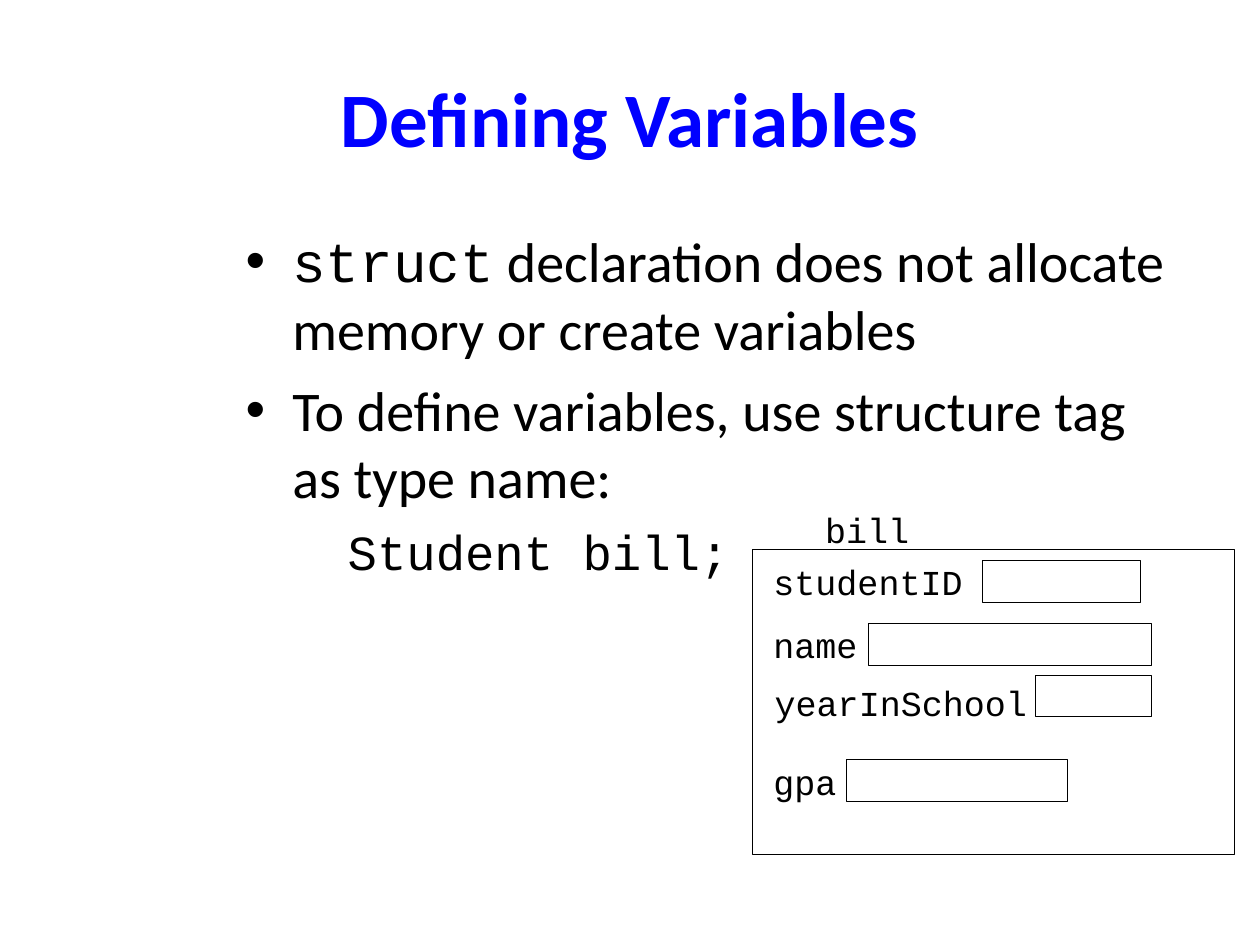
from pptx import Presentation
from pptx.dml.color import RGBColor
from pptx.enum.shapes import MSO_SHAPE
from pptx.enum.text import MSO_ANCHOR, MSO_AUTO_SIZE, PP_ALIGN
from pptx.oxml import parse_xml
from pptx.oxml.ns import nsdecls
from pptx.util import Inches, Pt

RECTANGLE = MSO_SHAPE.RECTANGLE
CENTER, LEFT = PP_ALIGN.CENTER, PP_ALIGN.LEFT
MIDDLE, TOP = MSO_ANCHOR.MIDDLE, MSO_ANCHOR.TOP
GROW = MSO_AUTO_SIZE.SHAPE_TO_FIT_TEXT
COLORS = {"title": "0000FF", "ink": "000000"}
PROSE, CODE = "Calibri", "Courier New"
LABEL_HEIGHT, FIELD_HEIGHT = 0.44, 0.33

# Field name, label offset (x, y), label width, value box offset (x, y), value box width
STUDENT_FIELDS = [
    ("studentID", (0.07, 0.04), 1.7, (1.83, 0.09), 1.25),
    ("name", (0.07, 0.54), 0.87, (0.92, 0.59), 2.25),
    ("yearInSchool", (0.08, 1.0), 2.22, (2.25, 1.0), 0.92),
    ("gpa", (0.07, 1.63), 0.7, (0.75, 1.67), 1.75),
]


def place(shape, left, top, width, height):
    shape.left, shape.top = Inches(left), Inches(top)
    shape.width, shape.height = Inches(width), Inches(height)


def add_span(para, text, font=PROSE, size=32, color="ink", bold=False):
    span = para.add_run()
    span.text = text
    span.font.name = font
    span.font.size = Pt(size)
    span.font.bold = bold
    span.font.color.rgb = RGBColor.from_string(COLORS[color])


def set_bullet(para, margin, indent, bullet=None):
    """Set the hanging indent in inches, with a bullet or none."""
    properties = para._p.get_or_add_pPr()
    properties.set("marL", str(Inches(margin)))
    properties.set("indent", str(Inches(indent)))
    if bullet:
        parts = [
            f'<a:buClr {nsdecls("a")}><a:srgbClr val="{COLORS["ink"]}"/></a:buClr>',
            f'<a:buFont {nsdecls("a")} typeface="Arial"/>',
            f'<a:buChar {nsdecls("a")} char="{bullet}"/>',
        ]
    else:
        parts = [f'<a:buNone {nsdecls("a")}/>']
    for part in parts:
        properties.append(parse_xml(part))


def fill_title(title, box):
    place(title, *box)
    title.text_frame.vertical_anchor = MIDDLE
    para = title.text_frame.paragraphs[0]
    para.alignment = CENTER
    add_span(para, "Defining Variables", size=44, color="title", bold=True)


def fill_body(body, box):
    place(body, *box)
    frame = body.text_frame
    frame.vertical_anchor = TOP
    first = frame.paragraphs[0]
    second, example = frame.add_paragraph(), frame.add_paragraph()
    example.level = 1
    for para, space in ((first, 0), (second, 8), (example, 7)):
        para.alignment = LEFT
        para.space_before = Pt(space)
    for para in (first, second):
        set_bullet(para, 0.37, -0.37, "•")
    set_bullet(example, 0.81, -0.31)
    add_span(first, "struct", font=CODE)
    add_span(first, " declaration does not allocate memory or create variables")
    add_span(second, "To define variables, use structure tag as type name:")
    add_span(example, "\tStudent bill;", font=CODE, size=28)


def add_outline(page, *box):
    shape = page.shapes.add_shape(RECTANGLE, *map(Inches, box))
    shape.shadow.inherit = False
    shape.fill.background()
    shape.line.color.rgb = RGBColor.from_string(COLORS["ink"])
    shape.line.width = Pt(0.75)


def add_label(page, text, left, top, width):
    label = page.shapes.add_textbox(*map(Inches, (left, top, width, LABEL_HEIGHT)))
    label.text_frame.word_wrap = False
    label.text_frame.auto_size = GROW
    para = label.text_frame.paragraphs[0]
    para.alignment = LEFT
    add_span(para, text, font=CODE, size=20)


def draw_record(page, name, fields, box):
    """Draw a named memory record with one labelled value box per field."""
    left, top, width, height = box
    add_outline(page, left, top, width, height)
    for field, (label_x, label_y), label_width, (value_x, value_y), value_width in fields:
        add_label(page, field, left + label_x, top + label_y, label_width)
        add_outline(page, left + value_x, top + value_y, value_width, FIELD_HEIGHT)
    add_label(page, name, left + 0.48, top - 0.37, 0.87)


def main():
    deck = Presentation()
    deck.slide_width, deck.slide_height = Inches(10), Inches(7.5)
    page = deck.slides.add_slide(deck.slide_layouts[1])
    fill_title(page.shapes.title, (0.5, 0.3, 9, 1.25))
    fill_body(page.placeholders[1], (1.85, 1.75, 7.65, 4.95))
    draw_record(page, "bill", STUDENT_FIELDS, (5.97, 4.36, 3.83, 2.42))
    deck.save("out.pptx")


if __name__ == "__main__":
    main()
